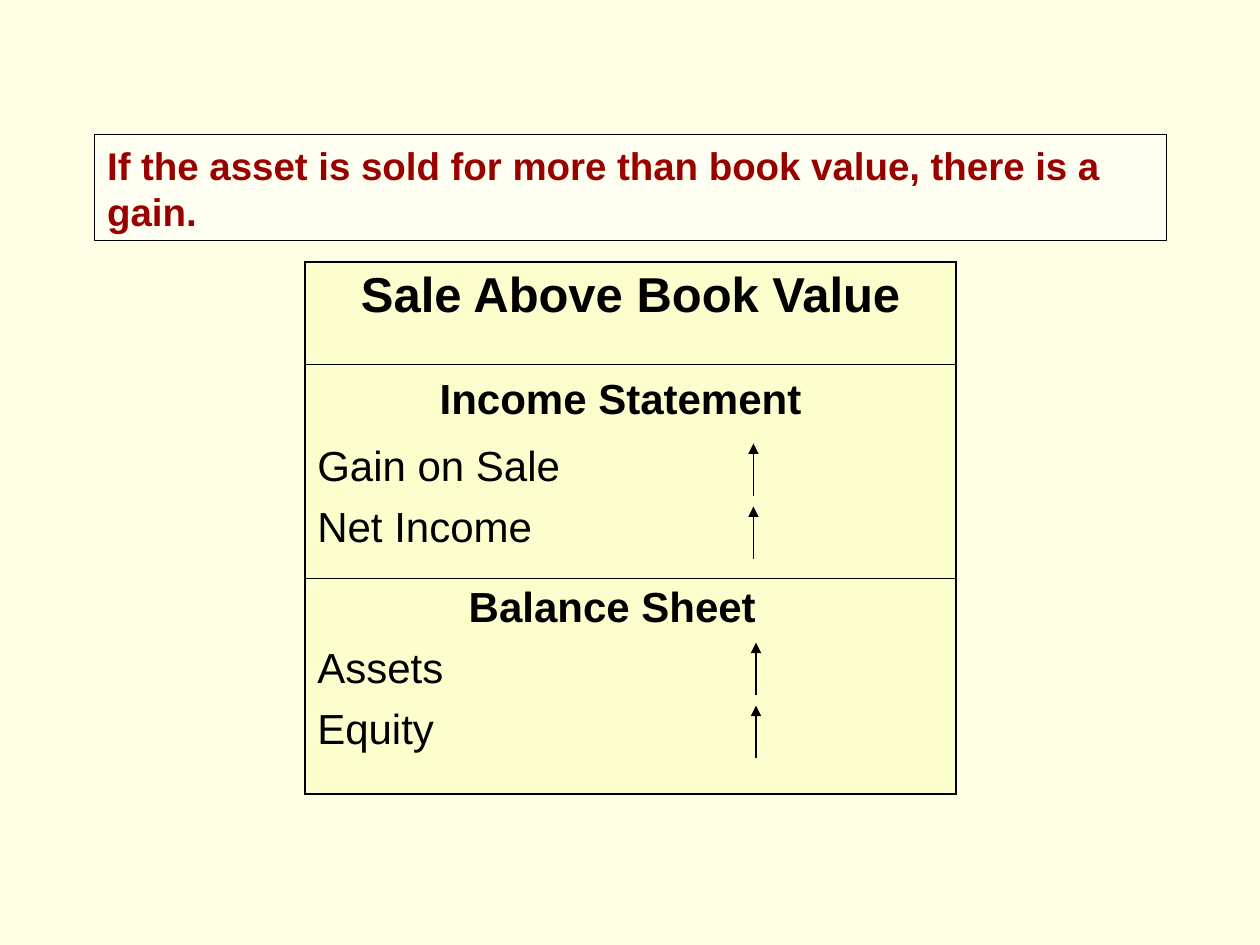
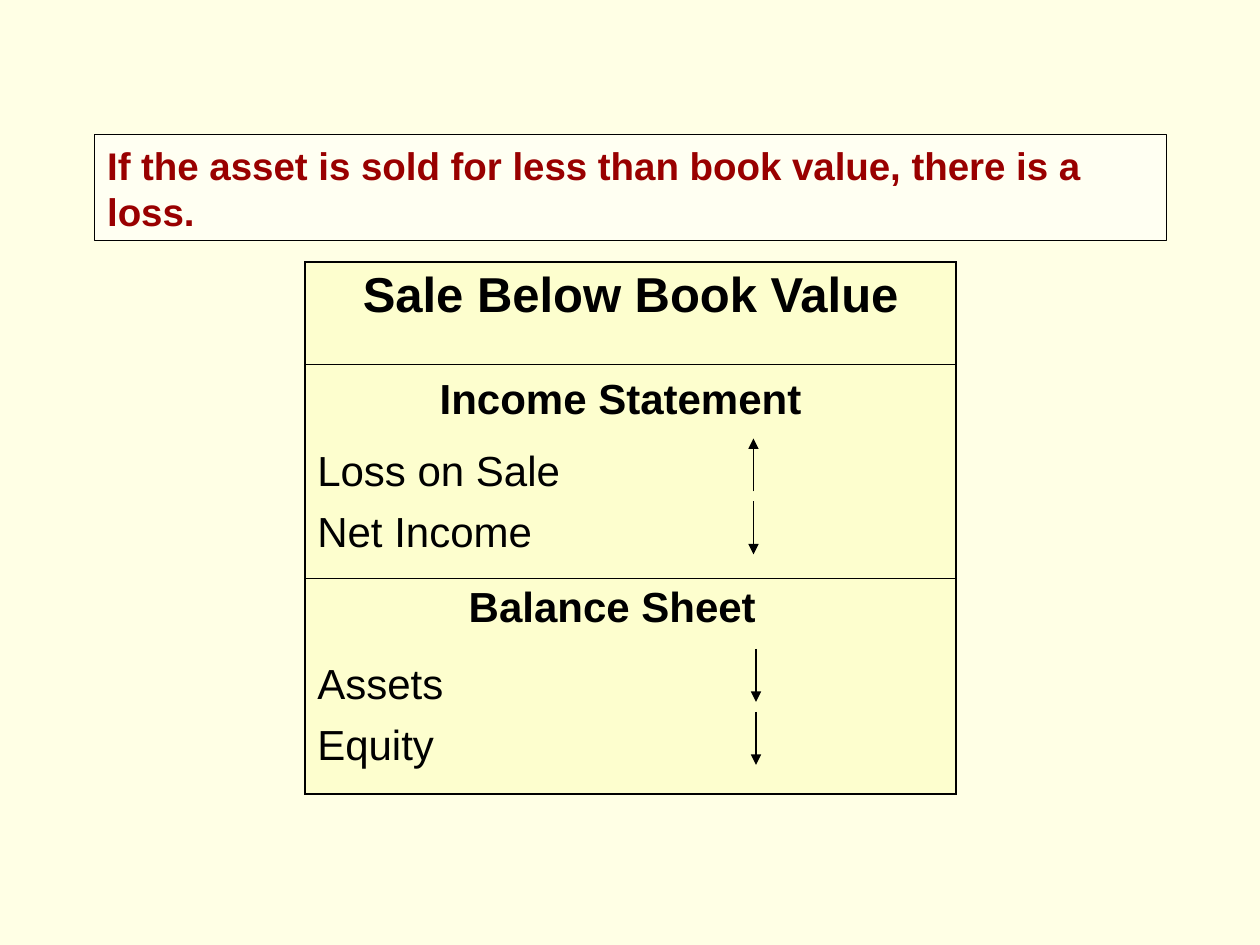
import pptx
import pptx.util
import pptx.dml.color
import pptx.enum.shapes
import pptx.enum.text
import pptx.oxml
import pptx.oxml.ns

Inches = pptx.util.Inches
Pt = pptx.util.Pt
ALIGN = pptx.enum.text.PP_ALIGN
ANCHOR = pptx.enum.text.MSO_ANCHOR
qn = pptx.oxml.ns.qn

# For each account group: top of the labels, top of the first arrow, accounts
SLIDES = [
    {
        "rule": "If the asset is sold for more than book value, there is a gain.",
        "heading": "Sale Above Book Value",
        "income": (3.44, 3.52, [("Gain on Sale", "up"), ("Net Income", "up")]),
        "balance": (5.04, 5.10, [("Assets", "up"), ("Equity", "up")]),
    },
    {
        "rule": "If the asset is sold for less than book value, there is a loss.",
        "heading": "Sale Below Book Value",
        "income": (3.48, 3.48, [("Loss on Sale", "up"), ("Net Income", "down")]),
        "balance": (5.17, 5.15, [("Assets", "down"), ("Equity", "down")]),
    },
]
COLORS = {"page": "FFFFE5", "rule": "990000", "rule_fill": "FFFFFF",
          "cell": "FCFEB9", "ink": "000000"}
FONT = "Arial"
TABLE_LEFT, TABLE_TOP, TABLE_WIDTH = 2.42, 2.08, 5.17
ROW_HEIGHTS = [0.81, 1.7, 1.71]
OUTER_BORDER, INNER_BORDER = 1.08, 0.45
ARROW_X = {"income": 5.98, "balance": 6.0}
ARROW_LENGTH, ARROW_PITCH = 0.42, 0.5


def rgb(name):
    return pptx.dml.color.RGBColor.from_string(COLORS[name])


def a_element(xml_body):
    tag = xml_body.split()[0]
    rest = xml_body[len(tag):]
    return pptx.oxml.parse_xml(f"<a:{tag} {pptx.oxml.ns.nsdecls('a')}{rest}")


def fill_half_transparent(fill, properties, color):
    fill.solid()
    fill.fore_color.rgb = rgb(color)
    solid = properties.find(qn("a:solidFill"))
    solid[0].append(a_element('alpha val="50000"/>'))


def style_text(paragraph, size, color="ink", bold=False):
    for run in paragraph.runs:
        run.font.name = FONT
        run.font.size = Pt(size)
        run.font.bold = bold
        run.font.color.rgb = rgb(color)


def add_rule(slide, text):
    rule = slide.shapes.title
    rule.left, rule.top = Inches(0.75), Inches(1.07)
    rule.width, rule.height = Inches(8.51), Inches(0.84)
    fill_half_transparent(rule.fill, rule._element.spPr, "rule_fill")
    rule.line.color.rgb = rgb("ink")
    rule.line.width = Pt(0.75)
    frame = rule.text_frame
    frame.text = text
    frame.word_wrap = True
    frame.auto_size = pptx.enum.text.MSO_AUTO_SIZE.NONE
    frame.vertical_anchor = ANCHOR.MIDDLE
    frame.paragraphs[0].alignment = ALIGN.LEFT
    style_text(frame.paragraphs[0], 22, "rule", bold=True)


def set_borders(cell, top, bottom):
    widths = {"lnL": OUTER_BORDER, "lnR": OUTER_BORDER, "lnT": top, "lnB": bottom}
    properties = cell._tc.get_or_add_tcPr()
    for position, (side, width) in enumerate(widths.items()):
        properties.insert(position, a_element(
            f'{side} w="{int(Pt(width))}"><a:solidFill>'
            f'<a:srgbClr val="{COLORS["ink"]}"/></a:solidFill></a:{side}>'))


def add_statement_table(slide, heading):
    # text, size, alignment, left indent, top margin
    rows = [(heading, 28, ALIGN.CENTER, 0, 0.05),
            ("Income Statement", 24, ALIGN.LEFT, 0.97, 0.1),
            ("Balance Sheet", 24, ALIGN.LEFT, 1.2, 0.05)]
    table = slide.shapes.add_table(
        len(rows), 1, Inches(TABLE_LEFT), Inches(TABLE_TOP),
        Inches(TABLE_WIDTH), Inches(sum(ROW_HEIGHTS))).table
    table.first_row = table.horz_banding = False
    last = len(rows) - 1
    for index, (text, size, alignment, indent, margin) in enumerate(rows):
        table.rows[index].height = Inches(ROW_HEIGHTS[index])
        cell = table.cell(index, 0)
        cell.text_frame.text = text
        cell.margin_left = Inches(0.1 + indent)
        cell.margin_top = Inches(margin)
        cell.vertical_anchor = ANCHOR.TOP
        paragraph = cell.text_frame.paragraphs[0]
        paragraph.alignment = alignment
        style_text(paragraph, size, bold=True)
        fill_half_transparent(cell.fill, cell._tc.get_or_add_tcPr(), "cell")
        set_borders(cell,
                    OUTER_BORDER if index == 0 else INNER_BORDER,
                    OUTER_BORDER if index == last else INNER_BORDER)


def add_arrow(slide, x, top, direction):
    start, tip = top, top + ARROW_LENGTH
    if direction == "up":
        start, tip = tip, start
    arrow = slide.shapes.add_connector(
        pptx.enum.shapes.MSO_CONNECTOR.STRAIGHT,
        Inches(x), Inches(start), Inches(x), Inches(tip))
    arrow.line.color.rgb = rgb("ink")
    arrow.line.width = Pt(0.75)
    arrow.line._get_or_add_ln().append(a_element('tailEnd type="triangle"/>'))
    arrow._element.spPr.append(a_element("effectLst />"))


def add_accounts(slide, x, group):
    labels_top, arrows_top, accounts = group
    labels = slide.shapes.add_textbox(
        Inches(TABLE_LEFT), Inches(labels_top), Inches(TABLE_WIDTH), Inches(0.99))
    frame = labels.text_frame
    frame.word_wrap = True
    frame.text = "\n".join(account for account, _ in accounts)
    for index, paragraph in enumerate(frame.paragraphs):
        if index:
            paragraph.space_before = Pt(6)
        style_text(paragraph, 24)
    for index, (_, direction) in enumerate(accounts):
        add_arrow(slide, x, arrows_top + index * ARROW_PITCH, direction)


def main():
    deck = pptx.Presentation()
    deck.slide_width, deck.slide_height = Inches(10), Inches(7.5)
    background = deck.slide_master.background.fill
    background.solid()
    background.fore_color.rgb = rgb("page")
    title_only = deck.slide_layouts.get_by_name("Title Only")
    for content in SLIDES:
        slide = deck.slides.add_slide(title_only)
        add_rule(slide, content["rule"])
        add_statement_table(slide, content["heading"])
        for statement, x in ARROW_X.items():
            add_accounts(slide, x, content[statement])
    deck.save("out.pptx")


if __name__ == "__main__":
    main()
